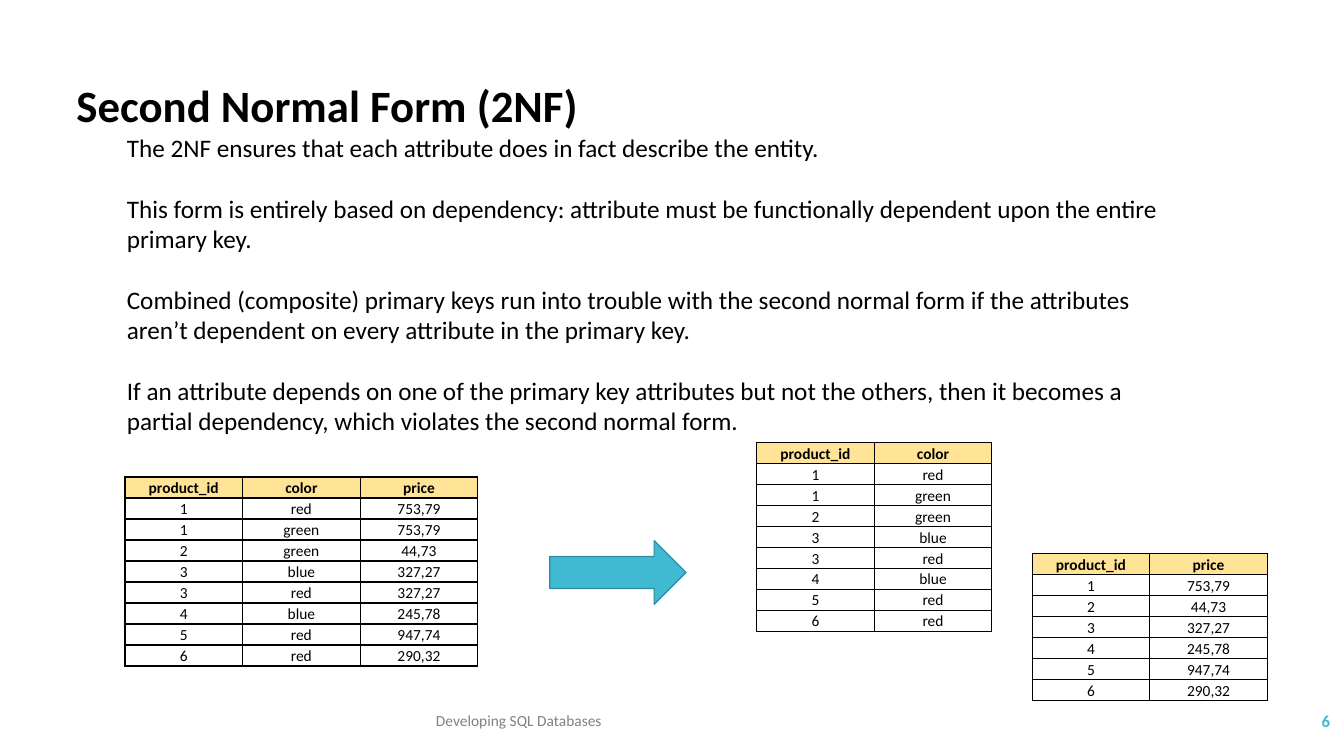
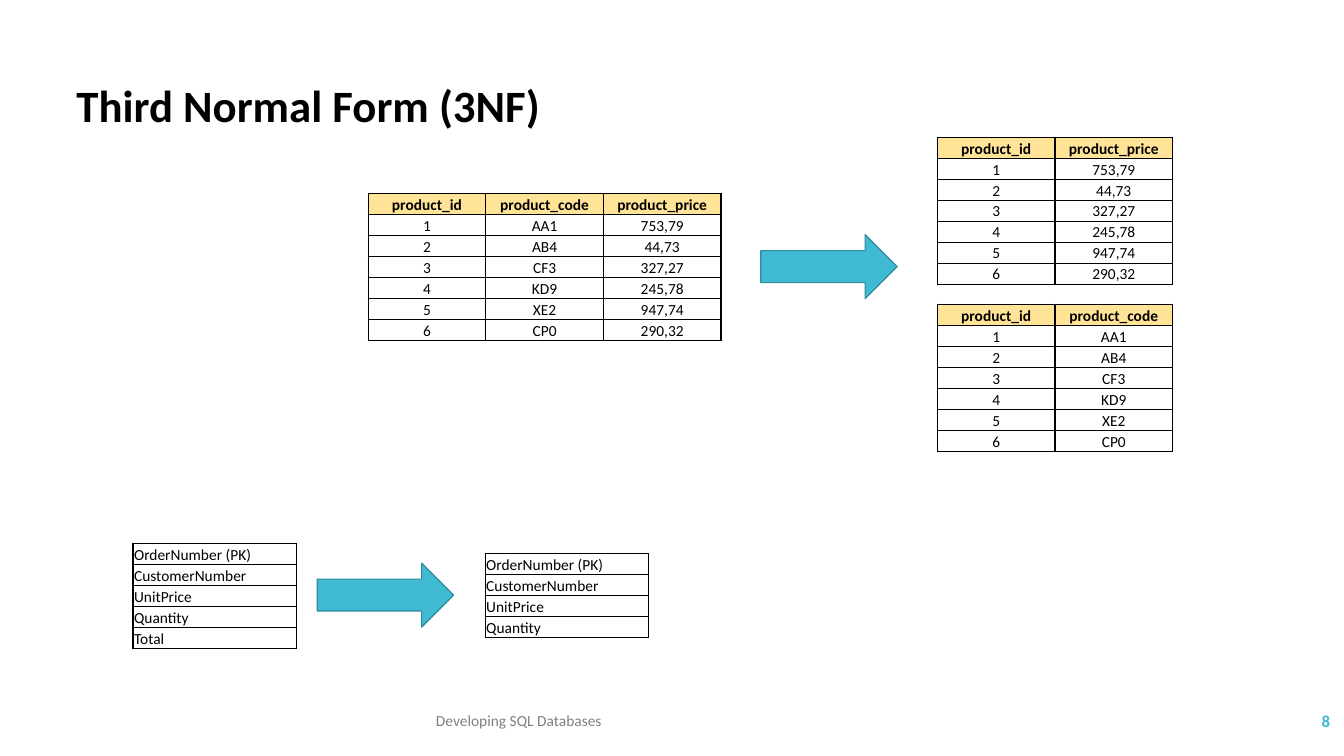
"""Build two slides on the second and third normal forms."""
import lxml.etree
import pptx
import pptx.dml.color
import pptx.enum.shapes
import pptx.enum.text
import pptx.oxml.ns
import pptx.util

WIDE, HIGH = pptx.util.Inches(13.333), pptx.util.Inches(7.5)
FONT = "Calibri"
BLACK, GRAY, TEAL, EDGE, GOLD = "000000", "808080", "40BAD2", "2F8A9B", "FFE497"
COL, ROW, LIST = 8.75, 2.78, 12.15
ALIGN = pptx.enum.text.PP_ALIGN
ANCHOR = pptx.enum.text.MSO_ANCHOR

BODY = (
    "The 2NF ensures that each attribute does in fact describe the entity.",
    "This form is entirely based on dependency: attribute must be functionally "
    "dependent upon the entire primary key.",
    "Combined (composite) primary keys run into trouble with the second normal form "
    "if the attributes aren’t dependent on every attribute in the primary key.",
    "If an attribute depends on one of the primary key attributes but not the others, "
    "then it becomes a partial dependency, which violates the second normal form.",
)
COLORS = [
    ("product_id", "color", "price"),
    ("1", "red", "753,79"),
    ("1", "green", "753,79"),
    ("2", "green", "44,73"),
    ("3", "blue", "327,27"),
    ("3", "red", "327,27"),
    ("4", "blue", "245,78"),
    ("5", "red", "947,74"),
    ("6", "red", "290,32"),
]
CODES = [
    ("product_id", "product_code", "product_price"),
    ("1", "AA1", "753,79"),
    ("2", "AB4", "44,73"),
    ("3", "CF3", "327,27"),
    ("4", "KD9", "245,78"),
    ("5", "XE2", "947,74"),
    ("6", "CP0", "290,32"),
]
ORDER = [("OrderNumber (PK)",), ("CustomerNumber",), ("UnitPrice",), ("Quantity",), ("Total",)]


def across(share):
    """Turn a percentage of the slide's width into a length."""
    return int(WIDE * share / 100)


def down(share):
    """Turn a percentage of the slide's height into a length."""
    return int(HIGH * share / 100)


def place(x, y, w, h):
    """Turn four percentages into left, top, width and height."""
    return across(x), down(y), across(w), down(h)


def paint(color):
    """Turn a hex string into a colour."""
    return pptx.dml.color.RGBColor.from_string(color)


def put(frame, *texts, size=11, color=BLACK, bold=False, align=ALIGN.LEFT, gap=0):
    """Write one paragraph per text into a text frame."""
    for i, text in enumerate(texts):
        para = frame.add_paragraph() if i else frame.paragraphs[0]
        para.alignment = align
        para.space_before = pptx.util.Pt(gap if i else 0)
        run = para.add_run()
        run.text = text
        run.font.name, run.font.size, run.font.bold = FONT, pptx.util.Pt(size), bold
        run.font.color.rgb = paint(color)


def label(slide, spot, *texts, anchor=ANCHOR.TOP, **look):
    """Add a wrapped text box."""
    frame = slide.shapes.add_textbox(*place(*spot)).text_frame
    frame.word_wrap = True
    frame.vertical_anchor = anchor
    put(frame, *texts, **look)


def border(cell):
    """Draw a thin black line on each side of a cell."""
    props = cell._tc.get_or_add_tcPr()
    for i, side in enumerate(("lnL", "lnR", "lnT", "lnB")):
        line = lxml.etree.Element(pptx.oxml.ns.qn("a:" + side), w=str(pptx.util.Pt(1)))
        fill = lxml.etree.SubElement(line, pptx.oxml.ns.qn("a:solidFill"))
        lxml.etree.SubElement(fill, pptx.oxml.ns.qn("a:srgbClr"), val=BLACK)
        props.insert(i, line)


def grid(slide, x, y, rows, width=COL, head=True):
    """Add a bordered table, with a gold heading row if asked."""
    count = len(rows[0])
    spot = place(x, y, width * count, ROW * len(rows))
    table = slide.shapes.add_table(len(rows), count, *spot).table
    table.first_row = table.horz_banding = False
    for col in table.columns:
        col.width = across(width)
    for i, texts in enumerate(rows):
        table.rows[i].height = down(ROW)
        top = head and i == 0
        for j, text in enumerate(texts):
            cell = table.cell(i, j)
            cell.margin_left = cell.margin_right = cell.margin_top = pptx.util.Inches(0.01)
            cell.margin_bottom = 0
            cell.vertical_anchor = ANCHOR.BOTTOM
            if top:
                cell.fill.solid()
                cell.fill.fore_color.rgb = paint(GOLD)
            else:
                cell.fill.background()
            border(cell)
            put(cell.text_frame, text, bold=top, align=ALIGN.CENTER if head else ALIGN.LEFT)


def arrow(slide, x, y):
    """Add a teal block arrow pointing right."""
    kind = pptx.enum.shapes.MSO_SHAPE.RIGHT_ARROW
    shape = slide.shapes.add_shape(kind, *place(x, y, 10.15, 8.45))
    shape.shadow.inherit = False
    shape.fill.solid()
    shape.fill.fore_color.rgb = paint(TEAL)
    shape.line.color.rgb = paint(EDGE)
    shape.line.width = pptx.util.Pt(0.85)


def pick(rows, *cols):
    """Project rows onto some columns and drop repeated rows."""
    return list(dict.fromkeys(tuple(row[c] for c in cols) for row in rows))


def start(deck, title, page):
    """Add a slide with its title, footer and page number."""
    slide = deck.slides.add_slide(deck.slide_layouts[6])
    label(slide, (4.95, 9.6, 86.3, 8.5), title, size=32, bold=True)
    label(slide, (87.2, 92.7, 12.5, 5.3), page, anchor=ANCHOR.MIDDLE,
          size=12, color=TEAL, bold=True, align=ALIGN.RIGHT)
    label(slide, (31.7, 92.7, 48.5, 5.3), "Developing SQL Databases",
          anchor=ANCHOR.MIDDLE, color=GRAY)
    return slide


def second(deck):
    """Build the slide on the second normal form."""
    slide = start(deck, "Second Normal Form (2NF)", "6")
    label(slide, (8.7, 16.8, 78.2, 41.7), *BODY, size=18, gap=22)
    grid(slide, 9.3, 63.1, COLORS)
    arrow(slide, 40.9, 71.5)
    grid(slide, 56.3, 58.5, pick(COLORS, 0, 1))
    grid(slide, 76.8, 73.2, pick(COLORS, 0, 2))


def third(deck):
    """Build the slide on the third normal form."""
    slide = start(deck, "Third Normal Form (3NF)", "8")
    grid(slide, 27.4, 25.6, CODES)
    arrow(slide, 56.6, 31.05)
    grid(slide, 69.75, 18.15, pick(CODES, 0, 2))
    grid(slide, 69.75, 40.25, pick(CODES, 0, 1))
    grid(slide, 9.9, 71.9, ORDER, width=LIST, head=False)
    arrow(slide, 23.6, 74.5)
    grid(slide, 36.1, 73.2, ORDER[:-1], width=LIST, head=False)


def main():
    """Build and save the deck."""
    deck = pptx.Presentation()
    deck.slide_width, deck.slide_height = WIDE, HIGH
    second(deck)
    third(deck)
    deck.save("out.pptx")


if __name__ == "__main__":
    main()
